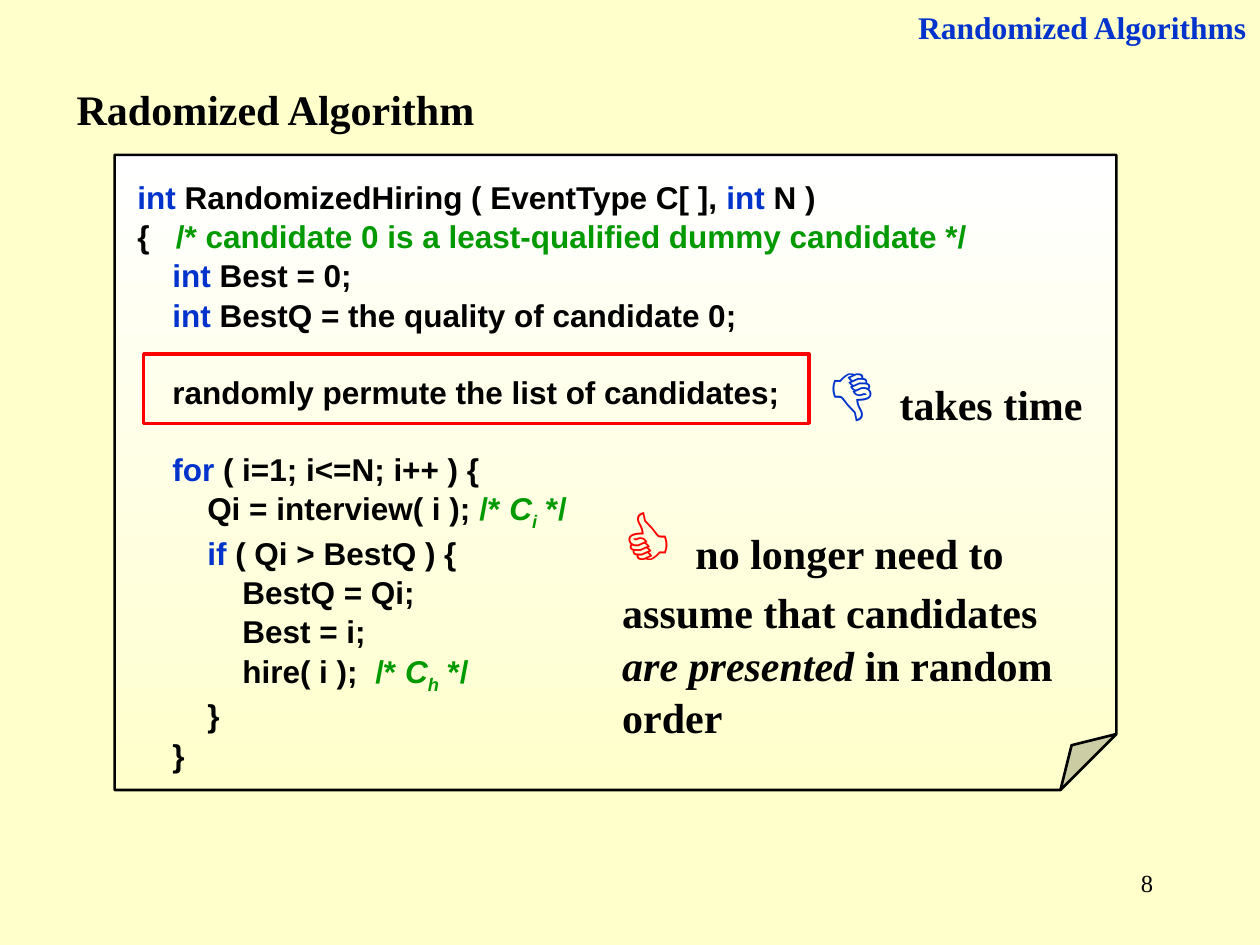
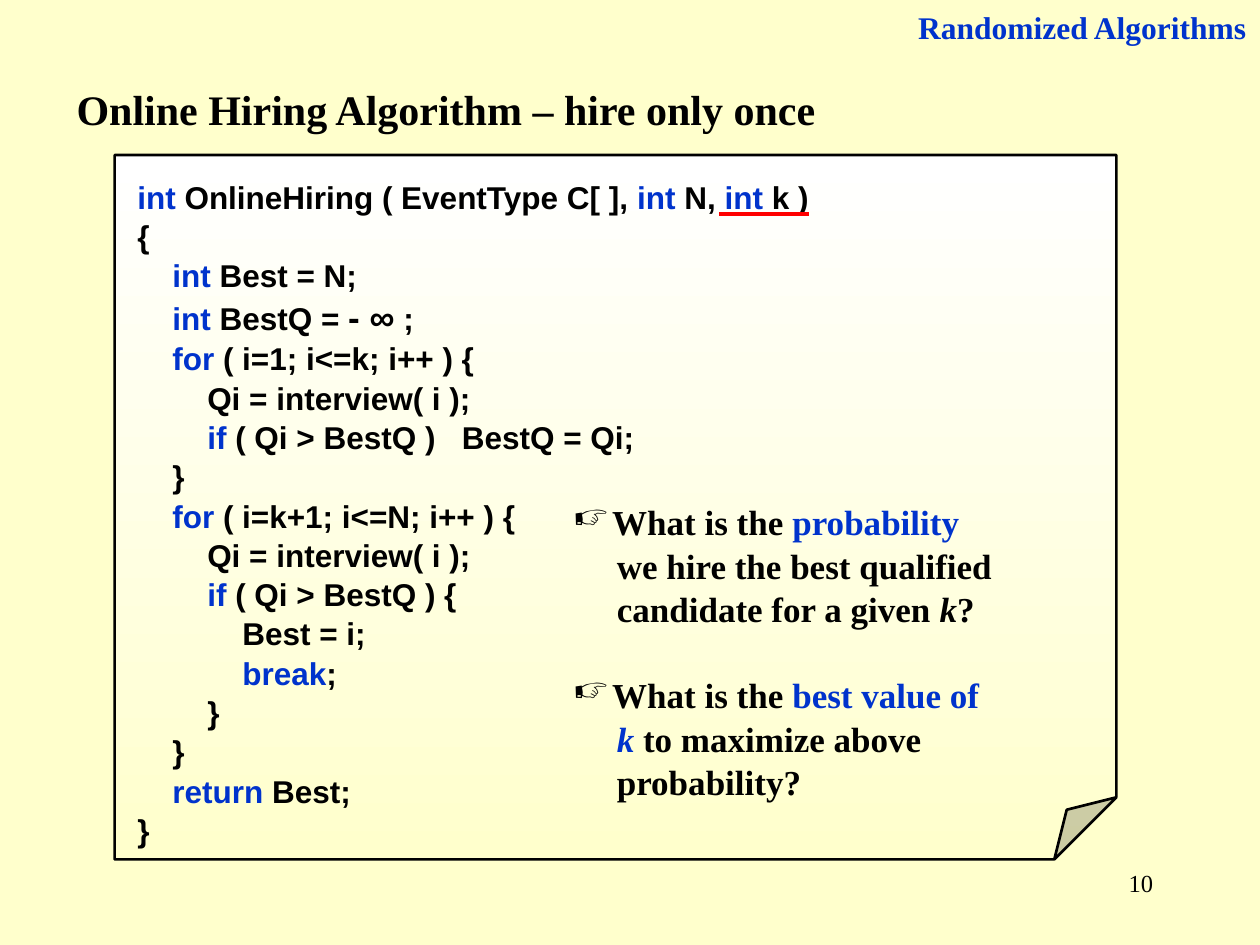
from dataclasses import dataclass
from typing import NamedTuple, Optional

from lxml import etree
from pptx import Presentation
from pptx.dml.color import RGBColor
from pptx.enum.shapes import MSO_CONNECTOR, MSO_SHAPE
from pptx.enum.text import MSO_ANCHOR, PP_ALIGN
from pptx.oxml.ns import qn
from pptx.util import Inches, Pt

FOLD, RECT = MSO_SHAPE.FOLDED_CORNER, MSO_SHAPE.RECTANGLE
LINE = MSO_CONNECTOR.STRAIGHT
LEFT, RIGHT = PP_ALIGN.LEFT, PP_ALIGN.RIGHT
TOP = MSO_ANCHOR.TOP

CREAM = RGBColor(0xFF, 0xFF, 0xCC)
WHITE = RGBColor(0xFF, 0xFF, 0xFF)
BLACK = RGBColor(0, 0, 0)
BLUE = RGBColor(0, 0x33, 0xCC)
GREEN = RGBColor(0, 0x99, 0)
RED = RGBColor(0xFF, 0, 0)

SANS, SERIF = "Arial", "Times New Roman"
COLS, ROWS = 100, 75  # square cells over the whole slide
CELL = Inches(0.1)
STEP = 20  # points of indent for one code level
LEAD = 1.04
HAND = "☞"


class Box(NamedTuple):
    """Left, top, width and height in grid cells."""
    left: float
    top: float
    width: float
    height: float

    def size(self) -> list[int]:
        return [int(CELL * n) for n in self]


class Bit(NamedTuple):
    """One run; empty fields take the style of the block."""
    text: str
    color: RGBColor = BLACK
    italic: bool = False
    sub: bool = False
    size: Optional[float] = None
    font: Optional[str] = None
    space: float = 0


class Line(NamedTuple):
    """One paragraph; indent and gap are in points."""
    bits: list
    indent: float = 0
    gap: float = 0
    mark: str = ""


class Style(NamedTuple):
    font: str
    size: float
    bold: bool = True
    align: PP_ALIGN = LEFT


CODE = Style(SANS, 18)
TITLE = Style(SERIF, 24)
NOTE = Style(SERIF, 20)
HEAD = Style(SERIF, 18, align=RIGHT)
PAGE = Style(SERIF, 14, bold=False, align=RIGHT)

HEAD_BOX = Box(68.9, 0, 31, 4)
PAGE_BOX = Box(71.7, 68.3, 20.8, 5)


@dataclass
class Note:
    box: Box
    style: Style
    lines: list


@dataclass
class Sheet:
    page: int
    title: str
    rows: float
    code: list
    notes: list
    frame: Optional[Box] = None
    rule: Optional[Box] = None


def code(depth: int, *bits, gap: float = 0) -> Line:
    """A code line; plain strings become black runs."""
    runs = [Bit(b) if isinstance(b, str) else b for b in bits]
    return Line(runs, depth * STEP, gap)


def wide(points: float) -> Bit:
    """A single space stretched by the given points."""
    return Bit(" ", space=points)


def remark(sub: str) -> list:
    """The cost remark with a subscript letter."""
    return [Bit("/* ", GREEN), Bit("C", GREEN, True),
            Bit(sub, GREEN, True, True), Bit(" */", GREEN)]


def thumb(sign: str, color: RGBColor) -> Bit:
    return Bit(sign + " ", color, size=44, font=SANS)


def write(frame, lines: list, style: Style) -> None:
    frame.word_wrap = True
    frame.vertical_anchor = TOP
    for n, line in enumerate(lines):
        para = frame.add_paragraph() if n else frame.paragraphs[0]
        para.alignment = style.align
        para.line_spacing = LEAD
        para.space_before = Pt(line.gap)
        props = para._p.get_or_add_pPr()
        props.set("marL", str(Pt(line.indent)))
        props.set("indent", str(-Pt(line.indent) if line.mark else 0))
        if line.mark:
            tint = etree.SubElement(props, qn("a:buClr"))
            etree.SubElement(tint, qn("a:srgbClr"), val=str(BLACK))
            etree.SubElement(props, qn("a:buChar"), char=line.mark)
        for bit in line.bits:
            run = para.add_run()
            run.text = bit.text
            font = run.font
            font.name = bit.font or style.font
            font.size = Pt(bit.size or style.size)
            font.bold = style.bold
            font.italic = bit.italic
            font.color.rgb = bit.color
            if bit.sub:
                run._r.get_or_add_rPr().set("baseline", "-25000")
            if bit.space:
                run._r.get_or_add_rPr().set("spc", str(int(bit.space * 100)))


def label(slide, box: Box, lines: list, style: Style) -> None:
    write(slide.shapes.add_textbox(*box.size()).text_frame, lines, style)


def paper(slide, rows: float, lines: list) -> None:
    """The folded sheet that holds the code."""
    leaf = slide.shapes.add_shape(FOLD, *Box(9.1, 12.3, 79.5, rows).size())
    leaf.shadow.inherit = False
    guides = leaf._element.spPr.find(qn("a:prstGeom")).find(qn("a:avLst"))
    etree.SubElement(guides, qn("a:gd"), name="adj", fmla="val 8800")
    leaf.fill.gradient()
    leaf.fill.gradient_angle = 270
    for stop, color in zip(leaf.fill.gradient_stops, (WHITE, CREAM)):
        stop.color.rgb = color
    leaf.line.color.rgb = BLACK
    leaf.line.width = Pt(1.5)
    text = leaf.text_frame
    text.margin_left, text.margin_top = Inches(0.18), Inches(0.17)
    write(text, lines, CODE)


def outline(slide, box: Box) -> None:
    shape = slide.shapes.add_shape(RECT, *box.size())
    shape.shadow.inherit = False
    shape.fill.background()
    shape.line.color.rgb = RED
    shape.line.width = Pt(2)


def stroke(slide, box: Box) -> None:
    left, top, width, height = box.size()
    link = slide.shapes.add_connector(
        LINE, left, top, left + width, top + height)
    link.line.color.rgb = RED
    link.line.width = Pt(2)
    etree.SubElement(link._element.spPr, qn("a:effectLst"))


def draw(deck, sheet: Sheet) -> None:
    slide = deck.slides.add_slide(deck.slide_layouts[6])
    slide.background.fill.solid()
    slide.background.fill.fore_color.rgb = CREAM
    label(slide, PAGE_BOX, [Line([Bit(str(sheet.page))])], PAGE)
    label(slide, HEAD_BOX, [Line([Bit("Randomized Algorithms", BLUE)])], HEAD)
    label(slide, Box(5.1, 6, 78.7, 5), [Line([Bit(sheet.title)])], TITLE)
    paper(slide, sheet.rows, sheet.code)
    if sheet.frame:
        outline(slide, sheet.frame)
    if sheet.rule:
        stroke(slide, sheet.rule)
    for note in sheet.notes:
        label(slide, note.box, note.lines, note.style)


INT, FOR, IF, BREAK, RETURN = (
    Bit(word, BLUE) for word in ("int", "for", "if", "break", "return"))
BLANK = 21.6  # height of one code line
ASK, TAIL = 22.3, 25  # indents of a question and of its next lines
ASK = TAIL - 2.7

RANDOM = Sheet(
    page=8, title="Radomized Algorithm", rows=50.4,
    frame=Box(11.4, 28.1, 52.8, 5.5),
    code=[
        code(0, INT, " RandomizedHiring ( EventType C[ ], ", INT, " N )"),
        code(0, "{", wide(10),
             Bit("/* candidate 0 is a least-qualified dummy candidate */",
                 GREEN)),
        code(1, INT, " Best = 0;"),
        code(1, INT, " BestQ = the quality of candidate 0;"),
        code(1, "randomly permute the list of candidates;", gap=BLANK),
        code(1, FOR, " ( i=1; i<=N; i++ ) {", gap=BLANK),
        code(2, "Qi = interview( i ); ", *remark("i")),
        code(2, IF, " ( Qi > BestQ ) {"),
        code(3, "BestQ = Qi;"),
        code(3, "Best = i;"),
        code(3, "hire( i );", wide(5), *remark("h")),
        code(2, "}"),
        code(1, "}"),
    ],
    notes=[
        Note(Box(48.4, 38.3, 39.4, 20.4), TITLE, [Line([
            thumb("👍", RED),
            Bit("no longer need to assume that candidates "),
            Bit("are presented", italic=True),
            Bit(" in random order")])]),
        Note(Box(64.6, 26.5, 26.4, 8.4), TITLE, [Line([
            thumb("👎", BLUE), Bit("takes time")])]),
    ])

ONLINE = Sheet(
    page=10, title="Online Hiring Algorithm – hire only once", rows=55.9,
    rule=Box(57.1, 17, 7.1, 0),
    code=[
        code(0, INT, " OnlineHiring ( EventType C[ ], ", INT, " N, ",
             INT, " k )"),
        code(0, "{"),
        code(1, INT, " Best = N;"),
        code(1, INT, " BestQ = ", Bit("- ∞", size=20), " ;"),
        code(1, FOR, " ( i=1; i<=k; i++ ) {"),
        code(2, "Qi = interview( i );"),
        code(2, IF, " ( Qi > BestQ )", wide(10), "BestQ = Qi;"),
        code(1, "}"),
        code(1, FOR, " ( i=k+1; i<=N; i++ ) {"),
        code(2, "Qi = interview( i );"),
        code(2, IF, " ( Qi > BestQ ) {"),
        code(3, "Best = i;"),
        code(3, BREAK, ";"),
        code(2, "}"),
        code(1, "}"),
        code(1, RETURN, " Best;"),
        code(0, "}"),
    ],
    notes=[Note(Box(44.5, 39.1, 37, 24.4), NOTE, [
        Line([Bit("What is the "), Bit("probability", BLUE)], ASK, mark=HAND),
        Line([Bit("we hire the best qualified")], TAIL),
        Line([Bit("candidate for a given "), Bit("k", italic=True),
              Bit("?")], TAIL),
        Line([Bit("What is the "), Bit("best value of", BLUE)], ASK,
             gap=24, mark=HAND),
        Line([Bit("k", BLUE, True), Bit(" to maximize above")], TAIL),
        Line([Bit("probability?")], TAIL),
    ])])


def main() -> None:
    deck = Presentation()
    deck.slide_width, deck.slide_height = CELL * COLS, CELL * ROWS
    for sheet in (RANDOM, ONLINE):
        draw(deck, sheet)
    deck.save("out.pptx")


if __name__ == "__main__":
    main()
